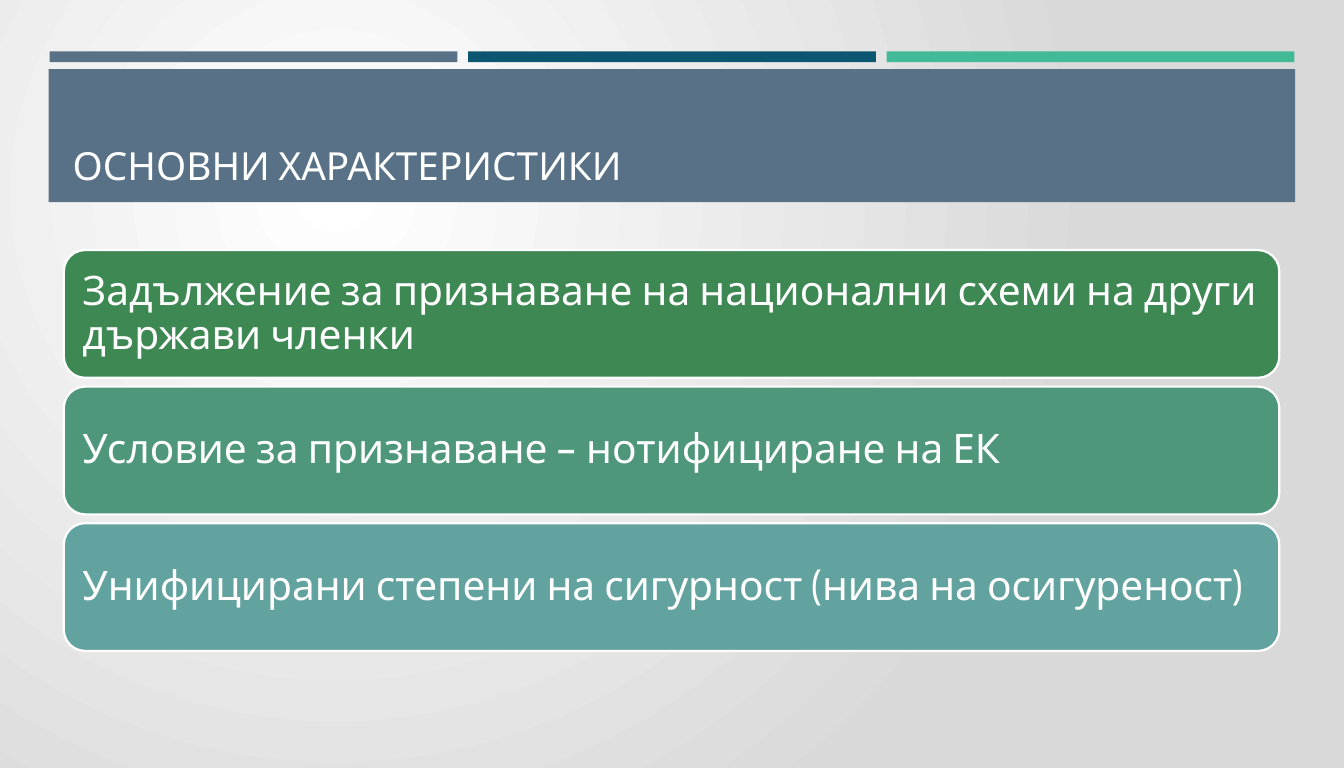
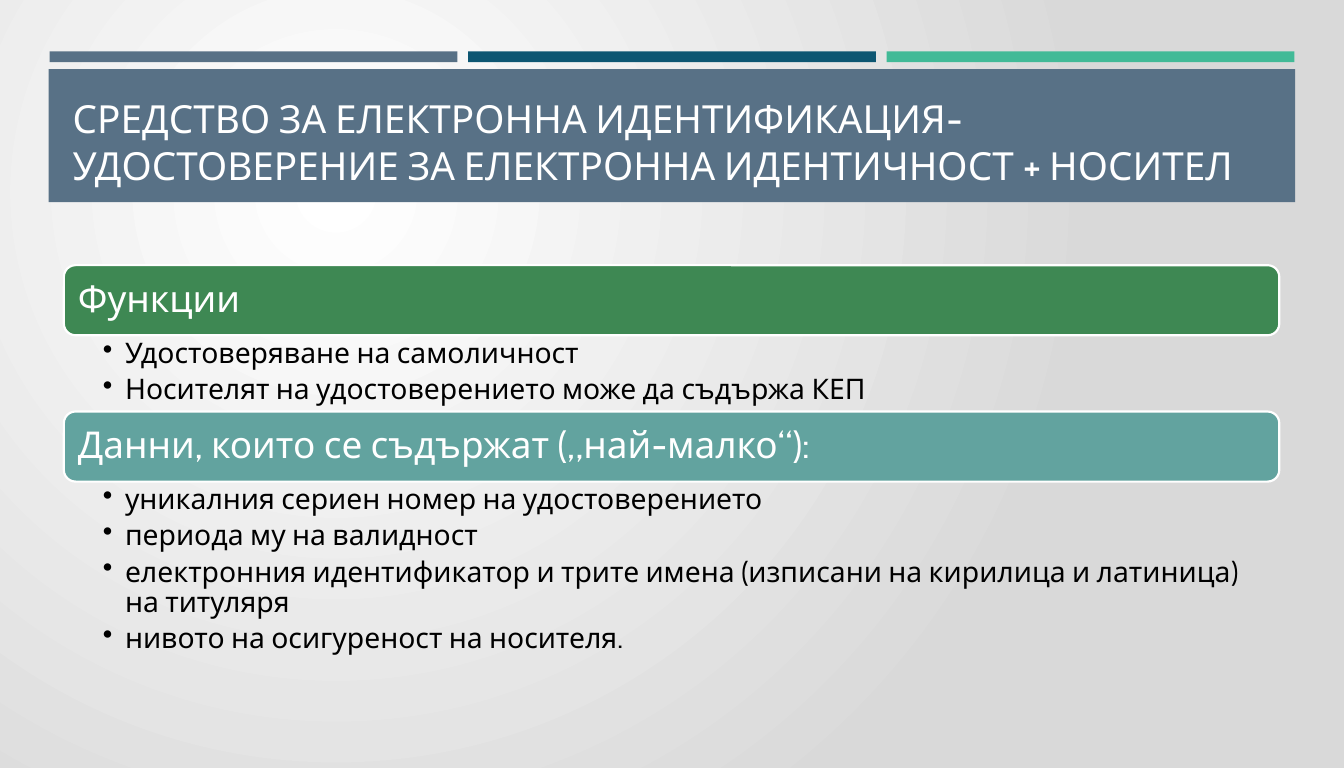
from lxml import etree
from pptx import Presentation
from pptx.dml.color import RGBColor as Rgb
from pptx.enum.shapes import MSO_SHAPE as Shape
from pptx.enum.text import MSO_ANCHOR as Anchor, PP_ALIGN as Align
from pptx.oxml.ns import qn
from pptx.util import Inches, Pt

HUES = {"slate": "587186", "navy": "0D5672", "mint": "42BA97",
        "green": "3E8853", "sage": "4E977B", "teal": "62A39F",
        "white": "FFFFFF", "grey": "D9D9D9", "black": "000000"}
FONT = "Cabin"
LEFT, WIDTH = 0.72, 13.71
STRIPES = ["slate", "navy", "mint"]

TRAITS = {
    "title": "ОСНОВНИ ХАРАКТЕРИСТИКИ",
    "cards": [
        ("green", "Задължение за признаване на национални схеми на други държави членки"),
        ("sage", "Условие за признаване – нотифициране на ЕК"),
        ("teal", "Унифицирани степени на сигурност (нива на осигуреност)"),
    ],
}
MEANS = {
    "title": "СРЕДСТВО ЗА ЕЛЕКТРОННА ИДЕНТИФИКАЦИЯ-УДОСТОВЕРЕНИЕ "
             "ЗА ЕЛЕКТРОННА ИДЕНТИЧНОСТ + НОСИТЕЛ",
    "groups": [
        ("green", "Функции", 0.86, [
            "Удостоверяване на самоличност",
            "Носителят на удостоверението може да съдържа КЕП",
        ]),
        ("teal", "Данни, които се съдържат („най-малко“):", 1.73, [
            "уникалния сериен номер на удостоверението",
            "периода му на валидност",
            "електронния идентификатор и трите имена "
            "(изписани на кирилица и латиница) на титуляря",
            "нивото на осигуреност на носителя.",
        ]),
    ],
}


def hue(name):
    return Rgb.from_string(HUES[name])


def paint_back(master):
    """Give the master a round gradient centred in its upper left quarter."""
    fill = master.background.fill
    fill.gradient()
    for stop, name in zip(fill.gradient_stops, ["white", "grey"]):
        stop.color.rgb = hue(name)
    grad = next(master.element.iter(qn("a:gradFill")))
    grad.remove(grad.find(qn("a:lin")))
    round_ = etree.SubElement(grad, qn("a:path"), {"path": "circle"})
    etree.SubElement(round_, qn("a:fillToRect"),
                     {"l": "50000", "t": "50000", "r": "100000", "b": "100000"})


def write(shape, lines, size, color, insets, anchor, spacing=0.9, bullet=False):
    frame = shape.text_frame
    frame.word_wrap = True
    frame.vertical_anchor = anchor
    for side, inset in zip(["left", "top", "right", "bottom"], insets):
        setattr(frame, "margin_" + side, Inches(inset))
    for i, line in enumerate(lines):
        para = frame.add_paragraph() if i else frame.paragraphs[0]
        para.text = line
        para.alignment = Align.LEFT
        para.line_spacing = spacing
        if bullet:
            para.space_after = Pt(4.6)
            props = para._p.get_or_add_pPr()
            props.set("marL", str(Inches(0.25)))
            props.set("indent", str(-Inches(0.25)))
            etree.SubElement(props, qn("a:buChar"), {"char": "•"})
        font = para.runs[0].font
        for key, value in {"name": FONT, "size": Pt(size)}.items():
            setattr(font, key, value)
        font.color.rgb = hue(color)


def add_block(slide, kind, box, color, edge=None):
    block = slide.shapes.add_shape(kind, *map(Inches, box))
    block.shadow.inherit = False
    block.fill.solid()
    block.fill.fore_color.rgb = hue(color)
    if edge:
        block.line.color.rgb = hue(edge)
        block.line.width = Pt(1.75)
    else:
        block.line.fill.background()
    return block


def add_card(slide, top, height, color, text, size, inset):
    card = add_block(slide, Shape.ROUNDED_RECTANGLE,
                     (LEFT, top, WIDTH, height), color, "white")
    write(card, [text], size, "white", [inset] * 4, Anchor.MIDDLE)


def add_list(slide, top, height, items):
    box = slide.shapes.add_textbox(*map(Inches, (LEFT, top, WIDTH, height)))
    write(box, items, 23, "black", (0.44, 0.04, 0.23, 0.04), Anchor.TOP, bullet=True)


def start_slide(deck, title):
    slide = deck.slides.add_slide(deck.slide_layouts[6])
    for i, color in enumerate(STRIPES):
        add_block(slide, Shape.RECTANGLE, (0.56 + i * 4.72, 0.58, 4.6, 0.12), color)
    band = add_block(slide, Shape.RECTANGLE, (0.55, 0.78, 14.06, 1.5), "slate")
    write(band, [title], 31.4, "white", (0.27, 0.16, 0.28, 0.16), Anchor.BOTTOM, 1.0)
    return slide


def add_traits(deck):
    slide = start_slide(deck, TRAITS["title"])
    for i, (color, text) in enumerate(TRAITS["cards"]):
        add_card(slide, 2.82 + i * 1.54, 1.44, color, text, 33, 0.14)


def add_means(deck):
    slide = start_slide(deck, MEANS["title"])
    top, head = 2.99, 0.79
    for color, text, height, items in MEANS["groups"]:
        add_card(slide, top, head, color, text, 30, 0.12)
        add_list(slide, top + head, height, items)
        top += head + height


def main():
    deck = Presentation()
    deck.slide_width, deck.slide_height = Inches(15.16), Inches(8.66)
    paint_back(deck.slide_master)
    add_traits(deck)
    add_means(deck)
    deck.save("out.pptx")


if __name__ == "__main__":
    main()
